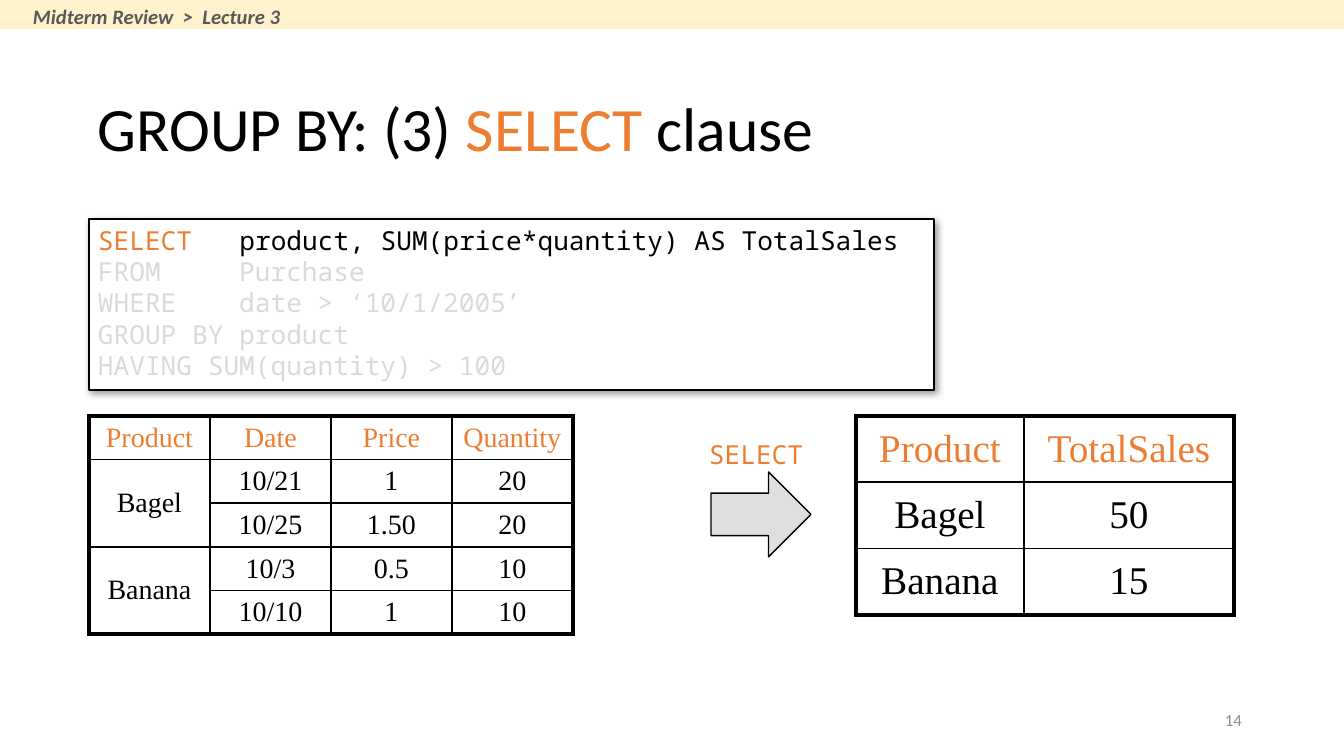
from lxml import etree
from pptx import Presentation
from pptx import util as u
from pptx.dml.color import RGBColor
from pptx.enum import shapes, text
from pptx.oxml.ns import qn

BLACK = RGBColor(0, 0, 0)
WHITE = RGBColor(255, 255, 255)
ORANGE = RGBColor(0xED, 0x7D, 0x31)
SILVER = RGBColor(0xC0, 0xC0, 0xC0)
FADED = RGBColor(0xD9, 0xD9, 0xD9)
CREAM = RGBColor(0xFF, 0xF2, 0xCC)
DARK_GRAY = RGBColor(0x59, 0x59, 0x59)
MID_GRAY = RGBColor(0x8C, 0x8C, 0x8C)
SANS, MONO, SERIF = "Calibri", "Noto Sans Mono", "Times New Roman"
LEFT, CENTER, RIGHT = text.PP_ALIGN.LEFT, text.PP_ALIGN.CENTER, text.PP_ALIGN.RIGHT
TOP, MIDDLE = text.MSO_ANCHOR.TOP, text.MSO_ANCHOR.MIDDLE
PX_PER_INCH = 134.4


def px(length):
    return u.Emu(round(length * 914400 / PX_PER_INCH))


def add_xml(parent, tag, **attributes):
    element = etree.SubElement(parent, qn(tag))
    for name, value in attributes.items():
        element.set(name, str(value))
    return element


class SlideBuilder:
    thin, thick = u.Pt(1), u.Pt(2.25)
    outline = u.Pt(0.75)
    inset = (9, 5)

    def __init__(self, presentation):
        self.slide = presentation.slides.add_slide(presentation.slide_layouts[5])

    def set_text(self, frame, lines, font, size, align=LEFT, anchor=TOP, wrap=True,
                 inset=inset, spacing=None, bold=False, italic=False):
        frame.margin_left = frame.margin_right = px(inset[0])
        frame.margin_top = frame.margin_bottom = px(inset[1])
        frame.vertical_anchor = anchor
        frame.auto_size = text.MSO_AUTO_SIZE.NONE if wrap else text.MSO_AUTO_SIZE.SHAPE_TO_FIT_TEXT
        frame.word_wrap = wrap
        for index, line in enumerate(lines):
            paragraph = frame.add_paragraph() if index else frame.paragraphs[0]
            paragraph.alignment = align
            paragraph.line_spacing = spacing
            paragraph.font.name = font
            paragraph.font.size = u.Pt(size)
            paragraph.font.bold, paragraph.font.italic = bold, italic
            for words, color in line:
                run = paragraph.add_run()
                run.text = words
                run.font.color.rgb = color

    def title(self, box, line):
        title = self.slide.shapes.title
        title.left, title.top, title.width, title.height = map(px, box)
        self.set_text(title.text_frame, [line], SANS, 33, anchor=MIDDLE, spacing=0.9)

    def label(self, box, words, color, font, size, **style):
        shape = self.slide.shapes.add_textbox(*map(px, box))
        self.set_text(shape.text_frame, [[(words, color)]], font, size, **style)

    def shape(self, kind, box, fill, line=None):
        shape = self.slide.shapes.add_shape(kind, *map(px, box))
        shape.shadow.inherit = False
        shape.fill.solid()
        shape.fill.fore_color.rgb = fill
        if line is None:
            shape.line.fill.background()
        else:
            shape.line.color.rgb = line
            shape.line.width = self.outline
        return shape

    def code(self, box, lines):
        shape = self.shape(shapes.MSO_SHAPE.RECTANGLE, box, WHITE, BLACK)
        effects = shape.element.spPr.find(qn("a:effectLst"))
        shadow = add_xml(effects, "a:outerShdw", blurRad=u.Pt(4), dist=u.Pt(1),
                         dir=45 * 60000, algn="tl", rotWithShape=0)
        color = add_xml(shadow, "a:srgbClr", val=BLACK)
        add_xml(color, "a:alpha", val=40000)
        self.set_text(shape.text_frame, lines, MONO, 14, wrap=False)

    def arrow(self, box, opacity):
        shape = self.shape(shapes.MSO_SHAPE.RIGHT_ARROW, box, SILVER, BLACK)
        color = shape.element.spPr.find(qn("a:solidFill"))[0]
        add_xml(color, "a:alpha", val=opacity * 1000)

    def border(self, cell, side, width):
        line = add_xml(cell._tc.get_or_add_tcPr(), f"a:ln{side}", w=width)
        add_xml(add_xml(line, "a:solidFill"), "a:srgbClr", val=BLACK)

    def table(self, left, top, widths, height, rows, size):
        row_count, column_count = len(rows), len(widths)
        frame = self.slide.shapes.add_table(
            row_count, column_count, *map(px, (left, top, sum(widths), height)))
        table = frame.table
        table.first_row = table.horz_banding = False
        for column, width in zip(table.columns, widths):
            column.width = px(width)
        for row in table.rows:
            row.height = px(height / row_count)
        for r, values in enumerate(rows):
            for c, value in enumerate(values):
                if value is None:
                    table.cell(r - 1, c).merge(table.cell(r, c))
        for r, values in enumerate(rows):
            for c, value in enumerate(values):
                cell = table.cell(r, c)
                last_row = r + (cell.span_height if cell.is_merge_origin else 1) == row_count
                edges = {"L": c == 0, "R": c == column_count - 1, "T": r == 0, "B": last_row}
                for side, outer in edges.items():
                    if not (side == "T" and cell.is_spanned):
                        self.border(cell, side, self.thick if outer else self.thin)
                cell.fill.background()
                if value is not None:
                    self.fill_cell(cell, value, size, BLACK if r else ORANGE)

    def fill_cell(self, cell, value, size, color):
        cell.margin_left = cell.margin_right = px(self.inset[0])
        cell.margin_top = cell.margin_bottom = px(self.inset[1])
        cell.vertical_anchor = MIDDLE
        paragraph = cell.text_frame.paragraphs[0]
        paragraph.text = value
        paragraph.alignment = CENTER
        paragraph.font.name = SERIF
        paragraph.font.size = u.Pt(size)
        paragraph.font.color.rgb = color


def main():
    presentation = Presentation()
    presentation.slide_width, presentation.slide_height = px(1344), px(756)
    builder = SlideBuilder(presentation)

    builder.label((949, 700, 302, 40), "14", MID_GRAY, SANS, 9, align=RIGHT, anchor=MIDDLE)
    builder.title((89, 69, 1107, 126),
                  [("GROUP BY: (3) ", BLACK), ("SELECT", ORANGE), (" clause", BLACK)])
    builder.arrow((711, 472, 100, 85), 50)

    faded_lines = ["FROM     Purchase", "WHERE    date > ‘10/1/2005’",
                   "GROUP BY product", "HAVING SUM(quantity) > 100"]
    select_line = [("SELECT", ORANGE),
                   ("   product, SUM(price*quantity) AS TotalSales", BLACK)]
    builder.code((89, 219, 845, 171), [select_line] + [[(line, FADED)] for line in faded_lines])

    builder.table(856, 416, [168, 210], 199, [
        ["Product", "TotalSales"],
        ["Bagel", "50"],
        ["Banana", "15"],
    ], 21)
    builder.label((700, 433, 117, 43), "SELECT", ORANGE, MONO, 14, wrap=False)
    builder.table(89, 416, [121] * 4, 218, [
        ["Product", "Date", "Price", "Quantity"],
        ["Bagel", "10/21", "1", "20"],
        [None, "10/25", "1.50", "20"],
        ["Banana", "10/3", "0.5", "10"],
        [None, "10/10", "1", "10"],
    ], 15)

    builder.shape(shapes.MSO_SHAPE.RECTANGLE, (0, 0, 1344, 29), CREAM)
    builder.label((20, -3, 278, 39), "Midterm Review  >  Lecture 3", DARK_GRAY, SANS, 11,
                  wrap=False, inset=(13, 7), bold=True, italic=True)
    presentation.save("out.pptx")


if __name__ == "__main__":
    main()
